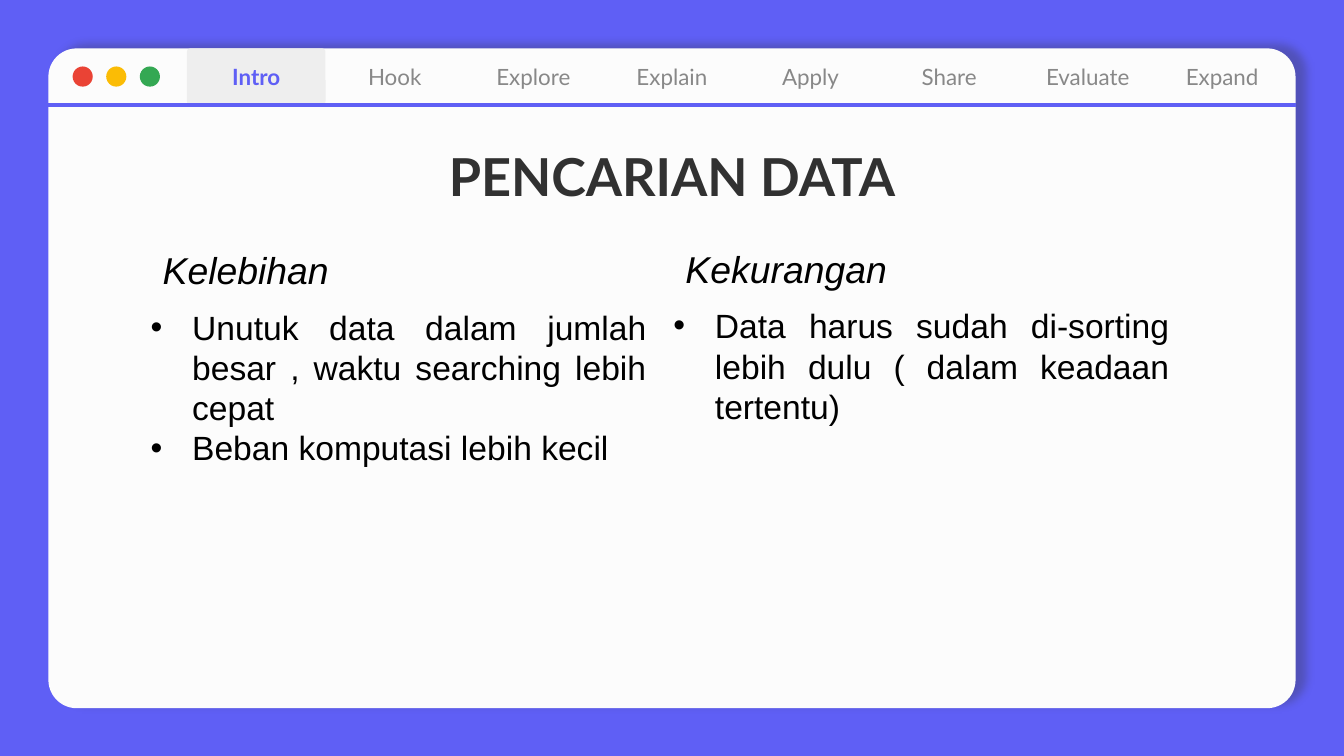
from lxml import etree
from pptx import Presentation
from pptx.dml.color import RGBColor
from pptx.enum.shapes import MSO_CONNECTOR, MSO_SHAPE
from pptx.enum.text import MSO_ANCHOR, MSO_AUTO_SIZE, PP_ALIGN
from pptx.oxml.ns import qn
from pptx.util import Inches, Pt

ROUND_RECT = MSO_SHAPE.ROUNDED_RECTANGLE
ROUND_CORNER = MSO_SHAPE.ROUND_1_RECTANGLE
OVAL = MSO_SHAPE.OVAL
STRAIGHT = MSO_CONNECTOR.STRAIGHT
CENTER, JUSTIFY = PP_ALIGN.CENTER, PP_ALIGN.JUSTIFY
TOP, MIDDLE = MSO_ANCHOR.TOP, MSO_ANCHOR.MIDDLE
FIT, NO_FIT = MSO_AUTO_SIZE.SHAPE_TO_FIT_TEXT, MSO_AUTO_SIZE.NONE

COLORS = {
    "accent": "5F5FF5", "card": "FCFCFC", "ink": "313131", "black": "000000",
    "tab": "EEEEEE", "muted": "888888",
    "red": "EA4335", "yellow": "FBBC05", "green": "34A853",
}
COMPARISON_LAYOUT = 4
WINDOW = (0.36, 0.36, 9.28, 4.91)
BAR_HEIGHT = 0.42
TABS = ["Intro", "Hook", "Explore", "Explain", "Apply", "Share", "Evaluate", "Expand"]
ACTIVE_TAB = "Intro"
TITLE = "PENCARIAN DATA"
ADVANTAGES = ("Kelebihan", [
    "Unutuk data dalam jumlah besar , waktu searching lebih cepat",
    "Beban komputasi lebih kecil",
])
DRAWBACKS = ("Kekurangan ", [
    "Data harus sudah di-sorting lebih dulu ( dalam keadaan tertentu)",
])


def rgb(name):
    return RGBColor.from_string(COLORS[name])


def inches(box):
    return [Inches(value) for value in box]


def add_part(shapes, kind, box, fill=None, corner=None):
    """Add a preset shape without outline or shadow; no fill means transparent."""
    part = shapes.add_shape(kind, *inches(box))
    part.shadow.inherit = False
    part.line.fill.background()
    if fill:
        part.fill.solid()
        part.fill.fore_color.rgb = rgb(fill)
    else:
        part.fill.background()
    if corner is not None:
        part.adjustments[0] = corner
    return part


def write(holder, lines, size, color, font="Lato", bold=False, italic=False,
          align=CENTER, anchor=TOP, insets=(0.1, 0.05), spacing=1.0,
          fit=NO_FIT, bullet=False):
    """Fill a shape or placeholder with one paragraph per line."""
    frame = holder.text_frame
    frame.text = "\n".join(lines)
    frame.word_wrap, frame.auto_size = True, fit
    frame.vertical_anchor = anchor
    frame.margin_left = frame.margin_right = Inches(insets[0])
    frame.margin_top = frame.margin_bottom = Inches(insets[1])
    for paragraph in frame.paragraphs:
        paragraph.alignment = align
        paragraph.line_spacing = spacing
        paragraph.space_before = paragraph.space_after = Pt(0)
        style = paragraph.runs[0].font
        style.name, style.size = font, Pt(size)
        style.bold, style.italic = bold, italic
        style.color.rgb = rgb(color)
        if bullet:
            add_bullet(paragraph)


def add_bullet(paragraph, indent=0.31):
    properties = paragraph._p.get_or_add_pPr()
    properties.set("marL", str(Inches(indent)))
    properties.set("indent", str(-Inches(indent)))
    etree.SubElement(properties, qn("a:buFont"), typeface="Arial")
    etree.SubElement(properties, qn("a:buChar"), char="•")


def place(slide, index, box):
    """Position a placeholder and bring it in front of the window."""
    holder = slide.placeholders[index]
    holder.left, holder.top, holder.width, holder.height = inches(box)
    slide.shapes._spTree.append(holder._element)
    return holder


def cast_shadow(part):
    effects = part._element.spPr.find(qn("a:effectLst"))
    shadow = etree.SubElement(
        effects, qn("a:outerShdw"), blurRad=str(Pt(4.5)), dist=str(Pt(6)),
        dir=str(342 * 60000), algn="bl", rotWithShape="0")
    tint = etree.SubElement(shadow, qn("a:srgbClr"), val=COLORS["ink"])
    etree.SubElement(tint, qn("a:alpha"), val="30000")


def draw_window_buttons(slide, box):
    left, top, _, height = box
    size, pitch = 0.15, 0.25
    buttons = slide.shapes.add_group_shape().shapes
    for position, color in enumerate(("red", "yellow", "green")):
        add_part(buttons, OVAL, (left + 0.18 + position * pitch,
                                 top + (height - size) / 2, size, size), color)


def draw_tabs(slide, box):
    left, top, width, height = box
    tab_width = width / len(TABS)
    for position, label in enumerate(TABS):
        active, last = label == ACTIVE_TAB, label == TABS[-1]
        tab = add_part(slide.shapes, ROUND_CORNER if last else ROUND_RECT,
                       (left + position * tab_width, top, tab_width, height),
                       "tab" if active else None, 0.5 if last else 0.06)
        inset = 0.1 if last else 0
        write(tab, [label], 12, "accent" if active else "muted", bold=active,
              anchor=MIDDLE, insets=(inset, inset))


def draw_window(slide, box):
    left, top, width, _ = box
    cast_shadow(add_part(slide.shapes, ROUND_RECT, box, "card", 0.043))
    buttons_width = width / 9
    draw_tabs(slide, (left + buttons_width, top, width - buttons_width, BAR_HEIGHT))
    draw_window_buttons(slide, (left, top, buttons_width, BAR_HEIGHT))
    edge = top + BAR_HEIGHT
    rule = slide.shapes.add_connector(
        STRAIGHT, *inches((left, edge, left + width, edge)))
    rule.line.color.rgb = rgb("accent")
    rule.line.width = Pt(2.25)
    etree.SubElement(rule._element.spPr, qn("a:effectLst"))


def draw_title(slide, box):
    write(place(slide, 0, box), [TITLE], 28, "ink", bold=True,
          insets=(0.1, 0.1), spacing=0.8)


def draw_column(slide, box, first_index, content):
    """Place a heading and its list in the pair of placeholders at first_index."""
    left, top, width, height = box
    heading, points = content
    indent, heading_height = 0.09, 0.44
    write(place(slide, first_index, (left + indent, top, width - indent, heading_height)),
          [heading], 20, "black", font="Arial", italic=True, align=JUSTIFY, fit=FIT)
    write(place(slide, first_index + 1,
                (left, top + heading_height, width, height - heading_height)),
          points, 18, "black", font="Arial", align=JUSTIFY, fit=FIT, bullet=True)


def main():
    deck = Presentation()
    deck.slide_width = Inches(10)
    deck.slide_height = deck.slide_width * 9 // 16
    slide = deck.slides.add_slide(deck.slide_layouts[COMPARISON_LAYOUT])
    slide.background.fill.solid()
    slide.background.fill.fore_color.rgb = rgb("accent")
    draw_window(slide, WINDOW)
    draw_title(slide, (0.78, 1.06, 8.44, 0.65))
    draw_column(slide, (1.02, 1.79, 3.89, 1.75), 1, ADVANTAGES)
    draw_column(slide, (4.91, 1.78, 3.89, 1.45), 3, DRAWBACKS)
    deck.save("out.pptx")


if __name__ == "__main__":
    main()
